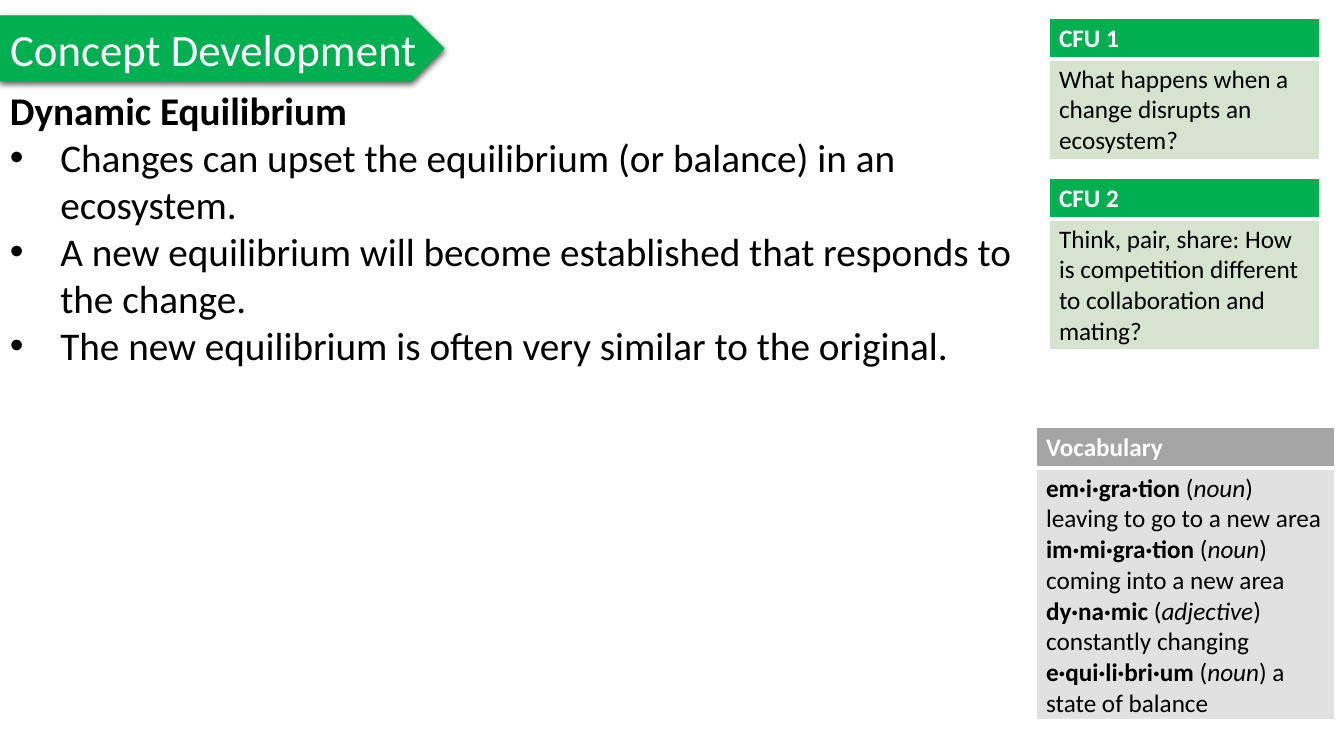
from dataclasses import dataclass

from lxml import etree
from pptx import Presentation
from pptx import util as u
from pptx.dml.color import RGBColor
from pptx.enum import shapes, text
from pptx.oxml import ns

EMU_PER_PX = 914400 / 100.8


def px(length: int) -> u.Emu:
    return u.Emu(round(length * EMU_PER_PX))


@dataclass(frozen=True)
class Theme:
    font: str = "Calibri"
    green: str = "00B050"
    pale_green: str = "D5E3CF"
    gray: str = "A5A5A5"
    pale_gray: str = "E1E1E1"
    white: str = "FFFFFF"
    black: str = "000000"
    title_size: int = 32
    body_size: int = 28
    card_size: int = 18


THEME = Theme()


@dataclass(frozen=True)
class Box:
    left: int
    top: int
    width: int
    height: int

    def emu(self) -> tuple:
        return px(self.left), px(self.top), px(self.width), px(self.height)


@dataclass(frozen=True)
class Span:
    text: str
    bold: bool = False
    italic: bool = False


@dataclass(frozen=True)
class Card:
    heading: str
    paragraphs: list
    box: Box
    head_fill: str
    body_fill: str


def entry(term: str, kind: str, meaning: str) -> list:
    """Spans of one vocabulary entry; meaning starts with its separator."""
    return [Span(term, bold=True), Span(" ("), Span(kind, italic=True), Span(")" + meaning)]


HEAD_HEIGHT = 41
BANNER = Box(0, 16, 444, 65)
LESSON = Box(0, 81, 1044, 295)
LESSON_HEADING = "Dynamic Equilibrium"
LESSON_POINTS = [
    "Changes can upset the equilibrium (or balance) in an ecosystem.",
    "A new equilibrium will become established that responds to the change.",
    "The new equilibrium is often very similar to the original.",
]
CARDS = [
    Card("CFU 1", [[Span("What happens when a change disrupts an ecosystem?")]],
         Box(1049, 18, 271, 141), THEME.green, THEME.pale_green),
    Card("CFU 2", [[Span("Think, pair, share: How is competition different "
                         "to collaboration and mating?")]],
         Box(1049, 178, 271, 171), THEME.green, THEME.pale_green),
    Card("Vocabulary", [
        entry("em·i·gra·tion", "noun", "\vleaving to go to a new area"),
        entry("im·mi·gra·tion", "noun", "\vcoming into a new area"),
        entry("dy·na·mic", "adjective", " constantly changing"),
        entry("e·qui·li·bri·um", "noun", " a state of balance"),
    ], Box(1036, 427, 299, 293), THEME.gray, THEME.pale_gray),
]


def add_node(parent, tag: str, **attributes):
    node = etree.SubElement(parent, ns.qn(tag))
    for name, value in attributes.items():
        node.set(name, str(value))
    return node


def style(font, size: int, color: str, bold: bool = False, italic: bool = False) -> None:
    font.name = THEME.font
    font.size = u.Pt(size)
    font.color.rgb = RGBColor.from_string(color)
    font.bold = bold
    font.italic = italic


def add_banner(slide, title_text: str) -> None:
    banner = slide.shapes.add_shape(shapes.MSO_SHAPE.PENTAGON, *BANNER.emu())
    green = RGBColor.from_string(THEME.green)
    banner.fill.solid()
    banner.fill.fore_color.rgb = green
    banner.line.color.rgb = green
    banner.line.width = u.Pt(0.75)
    banner.shadow.inherit = False
    effects = banner._element.spPr.find(ns.qn("a:effectLst"))
    shadow = add_node(effects, "a:outerShdw", blurRad=u.Pt(4.5), dist=u.Pt(1.5),
                      dir=90 * 60000, rotWithShape=0)
    add_node(add_node(shadow, "a:srgbClr", val=THEME.black), "a:alpha", val=63000)

    # The title sits on top of the banner
    title = slide.shapes.title
    title.left, title.top, title.width, title.height = BANNER.emu()
    slide.shapes._spTree.append(title._element)
    frame = title.text_frame
    frame.text = title_text
    frame.auto_size = text.MSO_AUTO_SIZE.NONE
    frame.vertical_anchor = text.MSO_ANCHOR.MIDDLE
    frame.word_wrap = True
    para = frame.paragraphs[0]
    para.alignment = text.PP_ALIGN.LEFT
    style(para.runs[0].font, THEME.title_size, THEME.white)


def add_lesson(slide) -> None:
    frame = slide.shapes.add_textbox(*LESSON.emu()).text_frame
    frame.word_wrap = True
    frame.text = "\n".join([LESSON_HEADING, *LESSON_POINTS])
    for index, para in enumerate(frame.paragraphs):
        is_point = index > 0
        if is_point:
            properties = para._p.get_or_add_pPr()
            properties.set("marL", str(u.Inches(0.5)))
            properties.set("indent", str(-u.Inches(0.5)))
            add_node(properties, "a:buFont", typeface="Arial")
            add_node(properties, "a:buChar", char="•")
        style(para.runs[0].font, THEME.body_size, THEME.black, bold=not is_point)


def format_cell(cell, fill: str, top: int, bottom: int) -> None:
    """Draw white borders (widths in points), then the fill."""
    properties = cell._tc.get_or_add_tcPr()
    for side, width in (("L", 1), ("R", 1), ("T", top), ("B", bottom)):
        line = add_node(properties, f"a:ln{side}", w=u.Pt(width))
        add_node(add_node(line, "a:solidFill"), "a:srgbClr", val=THEME.white)
    cell.fill.solid()
    cell.fill.fore_color.rgb = RGBColor.from_string(fill)


def add_card(slide, card: Card) -> None:
    table = slide.shapes.add_table(2, 1, *card.box.emu()).table
    table.first_row = True
    table.horz_banding = False
    table.rows[0].height = px(HEAD_HEIGHT)
    table.rows[1].height = px(card.box.height - HEAD_HEIGHT)
    head, body = table.cell(0, 0), table.cell(1, 0)
    format_cell(head, card.head_fill, top=1, bottom=3)
    format_cell(body, card.body_fill, top=3, bottom=1)

    head.text_frame.text = card.heading
    style(head.text_frame.paragraphs[0].runs[0].font, THEME.card_size, THEME.white, bold=True)

    frame = body.text_frame
    for index, spans in enumerate(card.paragraphs):
        para = frame.add_paragraph() if index else frame.paragraphs[0]
        for span in spans:
            for part_index, part in enumerate(span.text.split("\v")):
                if part_index:
                    para.add_line_break()
                run = para.add_run()
                run.text = part
                style(run.font, THEME.card_size, THEME.black, span.bold, span.italic)


def main() -> None:
    deck = Presentation()
    deck.slide_width, deck.slide_height = px(1344), px(756)
    slide = deck.slides.add_slide(deck.slide_layouts.get_by_name("Title Only"))
    add_banner(slide, "Concept Development")
    add_lesson(slide)
    for card in CARDS:
        add_card(slide, card)
    deck.save("out.pptx")


if __name__ == "__main__":
    main()
